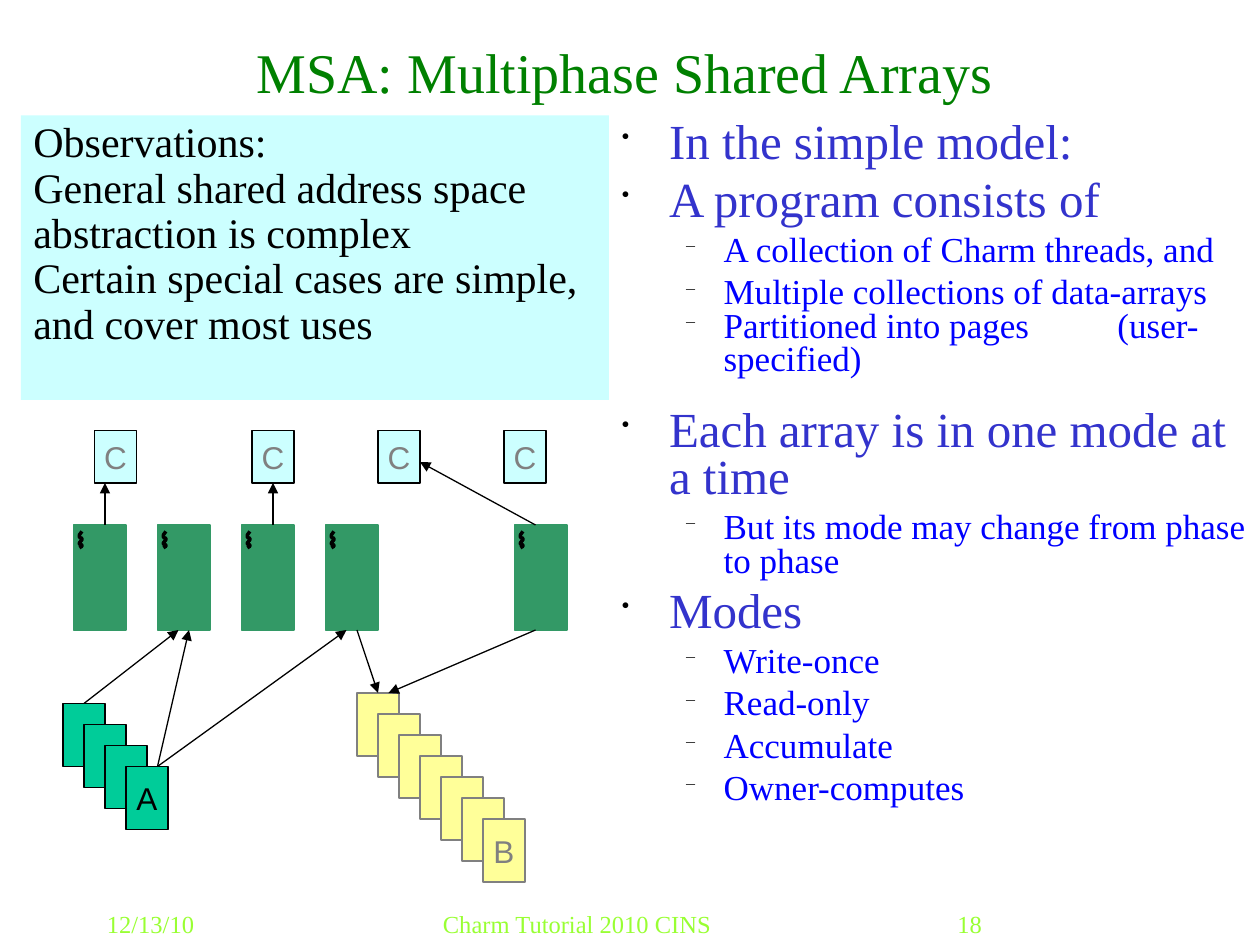
from dataclasses import dataclass
from typing import Optional

from lxml.etree import SubElement
from pptx import Presentation
from pptx.dml.color import RGBColor
from pptx.enum.shapes import MSO_CONNECTOR as Connector, MSO_SHAPE as Preset
from pptx.enum.text import MSO_ANCHOR as Anchor, PP_ALIGN as Align
from pptx.oxml.ns import qn
from pptx.util import Cm, Pt

COLORS = {
    "title": "008000", "heading": "3333CC", "detail": "0000FF", "footer": "99FF33",
    "black": "000000", "gray": "808080", "pale": "CCFFFF",
    "thread": "339966", "array_a": "00CC99", "array_b": "FFFF99",
}
SERIF, SANS = "Times New Roman", "Arial"
GRID_CM = 2.54 / 12


@dataclass(frozen=True)
class Box:
    """A rectangle measured in grid units."""
    left: float
    top: float
    width: float
    height: float


@dataclass(frozen=True)
class CardStack:
    left: int
    top: int
    count: int
    label: str
    fill: str
    line: str
    text: str


@dataclass(frozen=True)
class Arrow:
    start: tuple[int, int]
    end: tuple[int, int]


@dataclass(frozen=True)
class Level:
    bullet: str
    margin: float
    indent: float
    size: int
    color: str
    space_before: float


HEADING = Level("•", 0.96, -0.95, 28, "heading", 6.4)
DETAIL = Level("−", 2.06, -0.79, 20, "detail", 4.9)
PARTITION = "Partitioned into pages\t(user-specified)"
OUTLINE = [
    (HEADING, "In the simple model:"),
    (HEADING, "A program consists of"),
    (DETAIL, "A collection of Charm threads, and"),
    (DETAIL, "Multiple collections of data-arrays"),
    (DETAIL, PARTITION),
    (HEADING, "Each array is in one mode at a time"),
    (DETAIL, "But its mode may change from phase to phase"),
    (HEADING, "Modes"),
    (DETAIL, "Write-once"),
    (DETAIL, "Read-only"),
    (DETAIL, "Accumulate"),
    (DETAIL, "Owner-computes"),
]
OBSERVATIONS = [
    "Observations:",
    "General shared address space abstraction is complex",
    "Certain special cases are simple, and cover most uses",
]
FOOTERS = [
    (Box(9, 86, 25, 4), "12/13/10"),
    (Box(41, 86, 38, 4), "Charm Tutorial 2010 CINS"),
    (Box(90, 86, 21, 4), "18"),
]
THREAD_LEFTS = [7, 15, 23, 31, 49]
CACHE_LEFTS = [9, 24, 36, 48]
STACKS = [
    CardStack(6, 67, 4, "A", "array_a", "black", "black"),
    CardStack(34, 66, 7, "B", "array_b", "gray", "gray"),
]
ARROWS = [
    Arrow((8, 67), (17, 60)), Arrow((15, 73), (18, 60)), Arrow((15, 73), (33, 60)),
    Arrow((34, 60), (36, 66)), Arrow((51, 60), (37, 66)),
    Arrow((10, 50), (10, 46)), Arrow((26, 50), (26, 46)), Arrow((51, 50), (40, 44)),
]
# Thread squiggle, in centimetres from the top left corner of its bar
SQUIGGLE = [
    (0.17, 0.13), (0.12, 0.2), (0.12, 0.25), (0.17, 0.27), (0.17, 0.3),
    (0.12, 0.36), (0.12, 0.39), (0.17, 0.4), (0.17, 0.43), (0.12, 0.46),
]


def grid(units: float) -> Cm:
    return Cm(units * GRID_CM)


def rgb(name: str) -> RGBColor:
    return RGBColor.from_string(COLORS[name])


def place(box: Box) -> tuple:
    return tuple(grid(value) for value in (box.left, box.top, box.width, box.height))


def format_paragraph(paragraph, text: str, *, size: int, color: str, font: str = SERIF,
                     align=Align.LEFT, line_spacing: float = 1.0) -> None:
    paragraph.text = text
    paragraph.alignment = align
    paragraph.line_spacing = line_spacing
    paragraph.font.size = Pt(size)
    paragraph.font.name = font
    paragraph.font.color.rgb = rgb(color)


def add_text(slide, box: Box, text: str, **text_format) -> None:
    frame = slide.shapes.add_textbox(*place(box)).text_frame
    frame.word_wrap = True
    format_paragraph(frame.paragraphs[0], text, **text_format)


def add_rectangle(slide, box: Box, fill: str, line: Optional[str] = None):
    shape = slide.shapes.add_shape(Preset.RECTANGLE, *place(box))
    shape.shadow.inherit = False
    shape.fill.solid()
    shape.fill.fore_color.rgb = rgb(fill)
    if line:
        shape.line.color.rgb = rgb(line)
        shape.line.width = Pt(0.75)
    else:
        shape.line.fill.background()
    return shape


def add_label(shape, text: str, color: str) -> None:
    frame = shape.text_frame
    frame.word_wrap = False
    frame.vertical_anchor = Anchor.MIDDLE
    format_paragraph(frame.paragraphs[0], text, size=18, color=color, font=SANS,
                     align=Align.CENTER)


def add_thread(slide, left: int, top: int = 50) -> None:
    """Draw a processor bar with a thread squiggle in its corner."""
    add_rectangle(slide, Box(left, top, 5, 10), "thread", "thread")
    points = [(grid(left) + Cm(x), grid(top) + Cm(y)) for x, y in SQUIGGLE]
    builder = slide.shapes.build_freeform(*points[0])
    builder.add_line_segments(points[1:], close=False)
    squiggle = builder.convert_to_shape()
    squiggle.shadow.inherit = False
    squiggle.fill.background()
    squiggle.line.color.rgb = rgb("black")
    squiggle.line.width = Pt(2)


def add_stack(slide, stack: CardStack) -> None:
    for index in range(stack.count):
        box = Box(stack.left + 2 * index, stack.top + 2 * index, 4, 6)
        card = add_rectangle(slide, box, stack.fill, stack.line)
    add_label(card, stack.label, stack.text)


def add_arrow(slide, arrow: Arrow) -> None:
    ends = [grid(value) for value in arrow.start + arrow.end]
    connector = slide.shapes.add_connector(Connector.STRAIGHT, *ends)
    connector.line.color.rgb = rgb("black")
    connector.line.width = Pt(0.75)
    SubElement(connector.line._get_or_add_ln(), qn("a:tailEnd"), type="triangle")
    SubElement(connector._element.spPr, qn("a:effectLst"))


def add_bullet(paragraph, level: Level, tab: Optional[float] = None) -> None:
    properties = paragraph._p.get_or_add_pPr()
    properties.set("marL", str(Cm(level.margin)))
    properties.set("indent", str(Cm(level.indent)))
    color = SubElement(properties, qn("a:buClr"))
    SubElement(color, qn("a:srgbClr"), val=COLORS["black"])
    SubElement(properties, qn("a:buSzPct"), val="45000")
    SubElement(properties, qn("a:buChar"), char=level.bullet)
    if tab:
        tabs = SubElement(properties, qn("a:tabLst"))
        SubElement(tabs, qn("a:tab"), pos=str(Cm(tab)), algn="l")


def add_outline(slide, box: Box) -> None:
    frame = slide.shapes.add_textbox(*place(box)).text_frame
    frame.word_wrap = True
    for index, (level, text) in enumerate(OUTLINE):
        paragraph = frame.add_paragraph() if index else frame.paragraphs[0]
        is_partition = text == PARTITION
        add_bullet(paragraph, level, tab=10 if is_partition else None)
        format_paragraph(paragraph, text, size=level.size, color=level.color,
                         line_spacing=0.8)
        if is_partition:
            paragraph.space_after = Pt(11.4)
        elif index:
            paragraph.space_before = Pt(level.space_before)


def add_observations(slide, box: Box) -> None:
    frame = add_rectangle(slide, box, "pale").text_frame
    frame.vertical_anchor = Anchor.TOP
    for index, text in enumerate(OBSERVATIONS):
        paragraph = frame.add_paragraph() if index else frame.paragraphs[0]
        format_paragraph(paragraph, text, size=24, color="black", line_spacing=0.9)


def main() -> None:
    presentation = Presentation()
    presentation.slide_width, presentation.slide_height = Cm(25.4), Cm(19.05)
    slide = presentation.slides.add_slide(presentation.slide_layouts[6])
    add_text(slide, Box(4, 3, 111, 8), "MSA: Multiphase Shared Arrays", size=32,
             color="title", align=Align.CENTER)
    add_outline(slide, Box(58, 11, 62, 72))
    for left in THREAD_LEFTS:
        add_thread(slide, left)
    for stack in STACKS:
        add_stack(slide, stack)
    for left in CACHE_LEFTS:
        add_label(add_rectangle(slide, Box(left, 41, 4, 5), "pale", "black"), "C", "gray")
    for arrow in ARROWS:
        add_arrow(slide, arrow)
    add_observations(slide, Box(2, 11, 56, 27.1))
    for box, text in FOOTERS:
        add_text(slide, box, text, size=14, color="footer")
    presentation.save("out.pptx")


if __name__ == "__main__":
    main()
